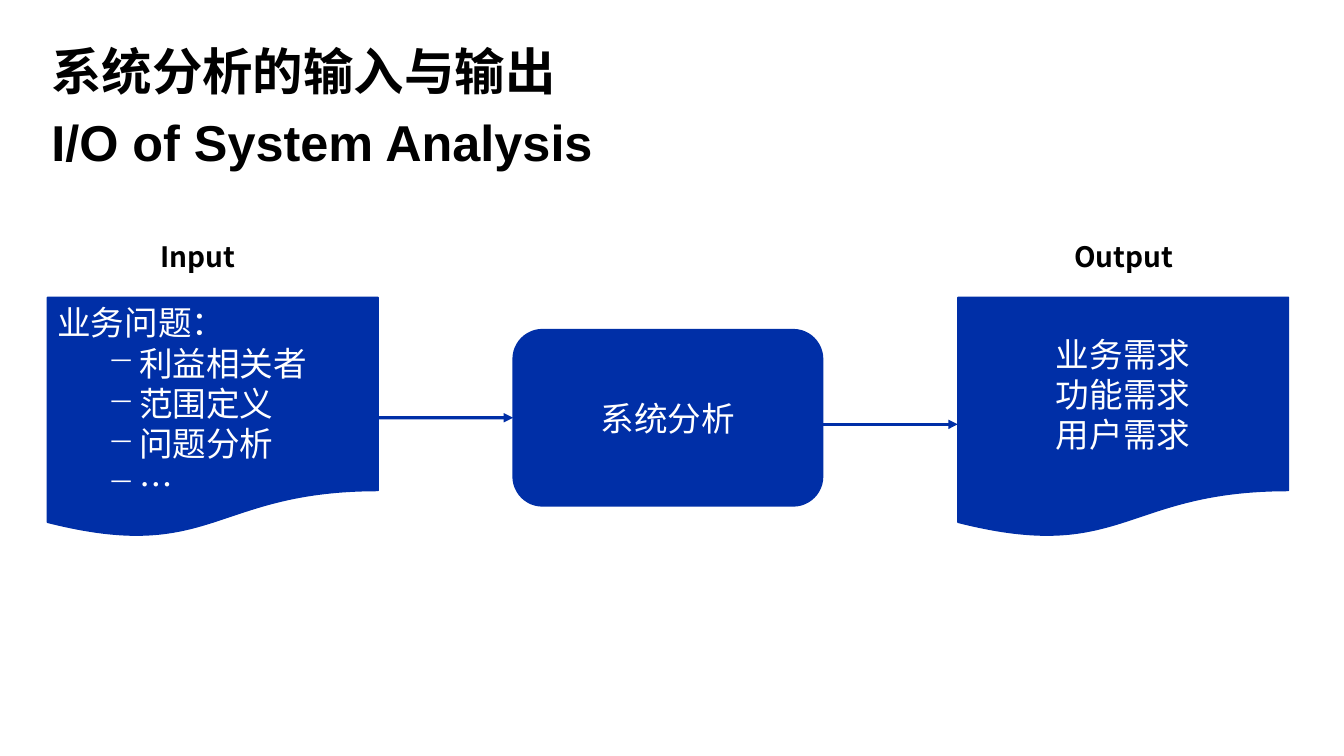
from lxml.etree import SubElement
from pptx import Presentation
from pptx.dml.color import RGBColor
from pptx.enum.shapes import MSO_CONNECTOR as Link, MSO_SHAPE as Form
from pptx.enum.text import MSO_ANCHOR as Anchor, MSO_AUTO_SIZE as Fit, PP_ALIGN as Align
from pptx.oxml.ns import qn
from pptx.util import Inches, Pt

WIDE, HIGH = Inches(13.33), Inches(7.5)
BLUE, WHITE, BLACK = "002FA7", "FFFFFF", "000000"
HAN = "Noto Sans CJK SC"


def hue(code):
    return RGBColor.from_string(code)


def col(n):
    return round(WIDE * n / 100)


def row(n):
    return round(HIGH * n / 100)


def place(box):
    x, y, w, h = box
    return col(x), row(y), col(w), row(h)


def write(para, text, size, color, face=HAN, bold=False):
    run = para.add_run()
    run.text = text
    font = run.font
    font.name, font.size, font.bold = face, Pt(size), bold
    font.color.rgb = hue(color)
    props = run._r.get_or_add_rPr()
    props.set("lang", "zh-CN")
    SubElement(props, qn("a:ea")).set("typeface", HAN)


def fill(frame, lines, align, size, color, face=HAN, bold=False):
    frame.word_wrap = True
    paras = []
    for i, text in enumerate(lines):
        para = frame.add_paragraph() if i else frame.paragraphs[0]
        para.alignment = align
        write(para, text, size, color, face, bold)
        paras.append(para)
    return paras


def dash(para):
    para.level = 1
    props = para._p.get_or_add_pPr()
    props.set("marL", str(Inches(0.81)))
    props.set("indent", str(Inches(-0.31)))
    SubElement(props, qn("a:buChar")).set("char", "−")


def heading(slide, box, lines):
    frame = slide.shapes.add_textbox(*place(box)).text_frame
    frame.vertical_anchor = Anchor.BOTTOM
    for para in fill(frame, lines, Align.LEFT, 36, BLACK, "Arial", True):
        para.line_spacing = 0.9
        para.space_after = Pt(12)


def block(slide, form, box, lines, align=Align.CENTER, anchor=Anchor.MIDDLE):
    shape = slide.shapes.add_shape(form, *place(box))
    shape.shadow.inherit = False
    shape.fill.solid()
    shape.fill.fore_color.rgb = hue(BLUE)
    shape.line.color.rgb = hue(BLUE)
    shape.line.width = Pt(1)
    shape.text_frame.vertical_anchor = anchor
    return shape, fill(shape.text_frame, lines, align, 24, WHITE)


def panel(slide, box, name, inset, lines, **look):
    x, y, w, h = box
    label = slide.shapes.add_textbox(*place((x + inset, y, 13.88, 5.87))).text_frame
    fill(label, [name], Align.CENTER, 20, BLACK, bold=True)
    label.auto_size = Fit.SHAPE_TO_FIT_TEXT
    gap = 8.27
    return block(slide, Form.FLOWCHART_DOCUMENT, (x, y + gap, w, h - gap), lines, **look)


def arrow(slide, left, right, y):
    line = slide.shapes.add_connector(
        Link.STRAIGHT, left.left + left.width, y, right.left, y)
    line.line.color.rgb = hue(BLUE)
    line.line.width = Pt(2.25)
    SubElement(line.line._get_or_add_ln(), qn("a:tailEnd")).set("type", "triangle")
    SubElement(line._element.spPr, qn("a:effectLst"))
    return line


def flow(slide, box):
    x, y, w, h = box
    side = 24.6
    source, items = panel(
        slide, (x, y, side, h), "Input", 4.28,
        ["业务问题：", "利益相关者", "范围定义", "问题分析", "…"],
        align=Align.LEFT, anchor=Anchor.TOP)
    for item in items[1:]:
        dash(item)
    result, _ = panel(
        slide, (x + w - side, y, side, h), "Output", 5.4,
        ["业务需求", "功能需求", "用户需求"])
    step, _ = block(
        slide, Form.ROUNDED_RECTANGLE, (x + 34.65, y + 12.53, 23.03, 23.33), ["系统分析"])
    feed = arrow(slide, source, step, step.top + step.height // 2)
    feed.begin_connect(source, 3)
    feed.end_connect(step, 1)
    arrow(slide, step, result, row(56.13))


def main():
    deck = Presentation()
    deck.slide_width, deck.slide_height = WIDE, HIGH
    slide = deck.slides.add_slide(deck.slide_layouts[6])
    heading(slide, (3.08, 10, 74.94, 13.47), ["系统分析的输入与输出", "I/O of System Analysis"])
    flow(slide, (3.53, 31.07, 92.34, 40.13))
    deck.save("out.pptx")


if __name__ == "__main__":
    main()
